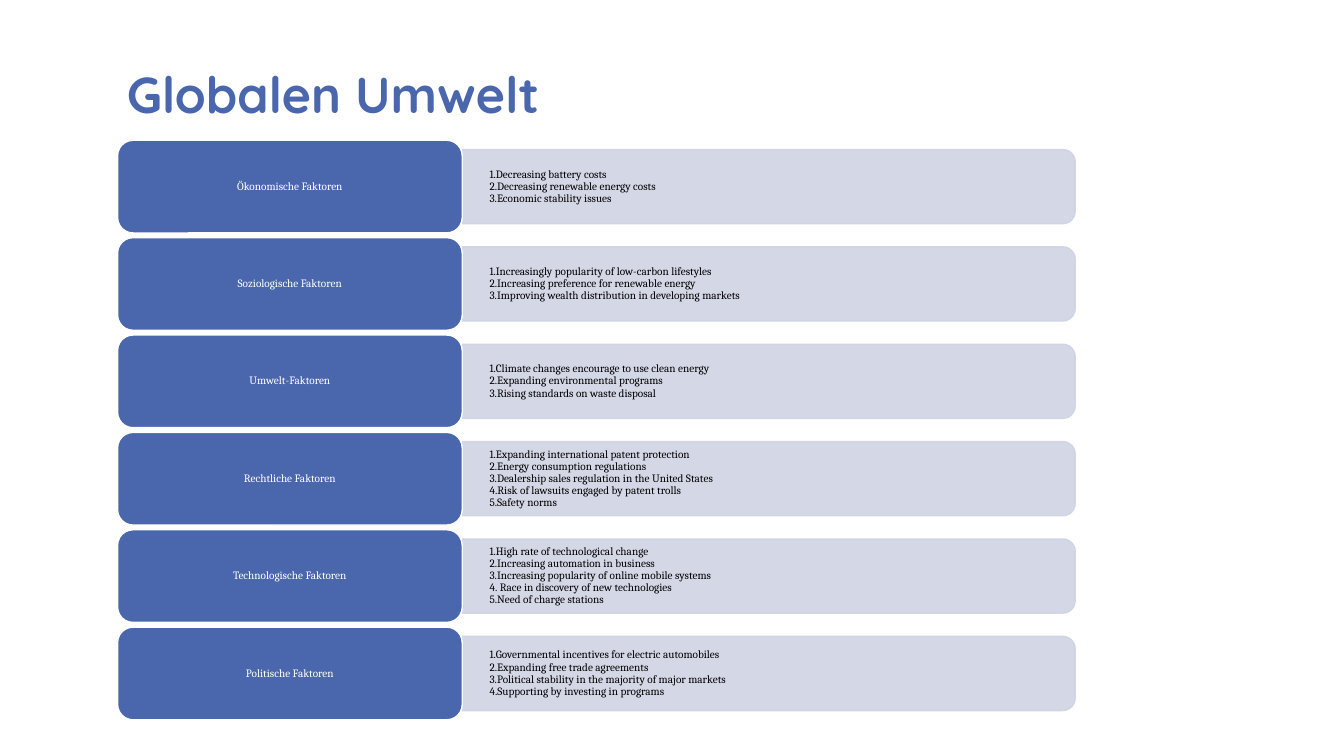
from dataclasses import dataclass
from lxml.etree import SubElement
from pptx import Presentation
from pptx.dml.color import RGBColor
from pptx.enum.shapes import MSO_SHAPE
from pptx.enum.text import MSO_ANCHOR, PP_ALIGN
from pptx.oxml.ns import qn
from pptx.util import Pt


@dataclass(frozen=True)
class Theme:
    blue: RGBColor = RGBColor.from_string("4A66AC")
    pale: RGBColor = RGBColor.from_string("D0D3E3")
    white: RGBColor = RGBColor.from_string("FFFFFF")
    black: RGBColor = RGBColor.from_string("000000")
    title_font: str = "Quicksand"
    body_font: str = "Cambria"
    title_size: int = 36
    body_size: int = 8


theme = Theme()


def write(sp, text, font=theme.body_font, size=theme.body_size, color=theme.black,
          bold=False, align=PP_ALIGN.LEFT, anchor=MSO_ANCHOR.MIDDLE,
          spacing=0.9, inset=(7.2, 3.6), numbered=False):
    tf = sp.text_frame
    tf.word_wrap = True
    tf.vertical_anchor = anchor
    tf.margin_left = tf.margin_right = Pt(inset[0])
    tf.margin_top = tf.margin_bottom = Pt(inset[1])
    for i, line in enumerate(text.split("\n")):
        p = tf.add_paragraph() if i else tf.paragraphs[0]
        p.alignment = align
        p.line_spacing = spacing
        r = p.add_run()
        r.text = line
        r.font.name = font
        r.font.size = Pt(size)
        r.font.bold = bold
        r.font.color.rgb = color
        if numbered:
            pPr = p._p.get_or_add_pPr()
            pPr.set("marL", str(Pt(4.5)))
            pPr.set("indent", str(Pt(-4.5)))
            SubElement(pPr, qn("a:buFont"), typeface="+mj-lt")
            SubElement(pPr, qn("a:buAutoNum"), type="arabicPeriod")


def add_panel(s, kind, left, top, width, height, fill, line):
    sp = s.shapes.add_shape(kind, Pt(left), Pt(top), Pt(width), Pt(height))
    sp.shadow.inherit = False
    sp.fill.solid()
    sp.fill.fore_color.rgb = fill
    sp.line.color.rgb = line
    sp.line.width = Pt(1)
    return sp


factors = {
    "Ökonomische Faktoren": [
        "Decreasing battery costs",
        "Decreasing renewable energy costs",
        "Economic stability issues"],
    "Soziologische Faktoren": [
        "Increasingly popularity of low-carbon lifestyles",
        "Increasing preference for renewable energy",
        "Improving wealth distribution in developing markets"],
    "Umwelt-Faktoren": [
        "Climate changes encourage to use clean energy",
        "Expanding environmental programs",
        "Rising standards on waste disposal"],
    "Rechtliche Faktoren": [
        "Expanding international patent protection",
        "Energy consumption regulations",
        "Dealership sales regulation in the United States",
        "Risk of lawsuits engaged by patent trolls",
        "Safety norms"],
    "Technologische Faktoren": [
        "High rate of technological change",
        "Increasing automation in business",
        "Increasing popularity of online mobile systems",
        " Race in discovery of new technologies",
        "Need of charge stations"],
    "Politische Faktoren": [
        "Governmental incentives for electric automobiles",
        "Expanding free trade agreements",
        "Political stability in the majority of major markets",
        "Supporting by investing in programs"],
}

prs = Presentation()
prs.slide_width, prs.slide_height = Pt(960), Pt(540)
s = prs.slides.add_slide(prs.slide_layouts[6])

title = s.shapes.add_textbox(Pt(83.5), Pt(7.2), Pt(684), Pt(84.2))
write(title, "Globalen Umwelt", font=theme.title_font, size=theme.title_size,
      color=theme.blue, bold=True, anchor=MSO_ANCHOR.BOTTOM, spacing=0.8)

left, first_top, pitch = 84, 100.2, 69.55
label_w, label_h = 246.2, 66.2
bar_w, bar_h = 437.8, 53
list_w, list_h = 435, 47.5
bar_left = left + label_w

for row, (factor, points) in enumerate(factors.items()):
    top = first_top + row * pitch
    middle = top + label_h / 2

    bar = add_panel(s, MSO_SHAPE.ROUND_2_SAME_RECTANGLE,
                    bar_left + (bar_w - bar_h) / 2, middle - bar_w / 2,
                    bar_h, bar_w, theme.pale, theme.pale)
    bar.rotation = 90
    for clr in bar._element.spPr.iter(qn("a:srgbClr")):
        SubElement(clr, qn("a:alpha"), val="90000")

    tb = s.shapes.add_textbox(Pt(bar_left), Pt(middle - list_h / 2), Pt(list_w), Pt(list_h))
    write(tb, "\n".join(points), inset=(19.5, 9.75), numbered=True)

    label = add_panel(s, MSO_SHAPE.ROUNDED_RECTANGLE, left, top, label_w, label_h,
                      theme.blue, theme.white)
    write(label, factor, color=theme.white, align=PP_ALIGN.CENTER, inset=(2.4, 1.2))

prs.save("out.pptx")
